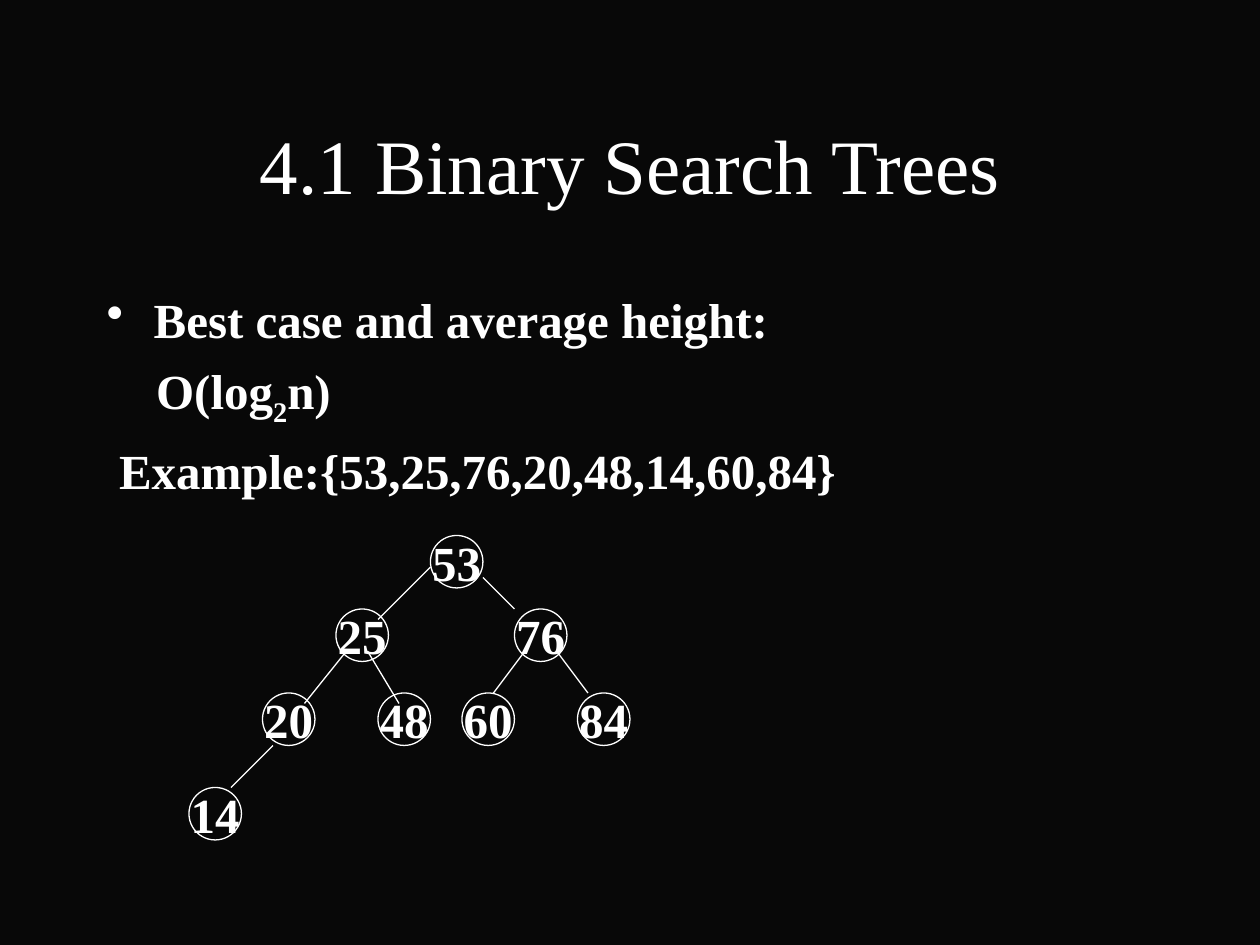
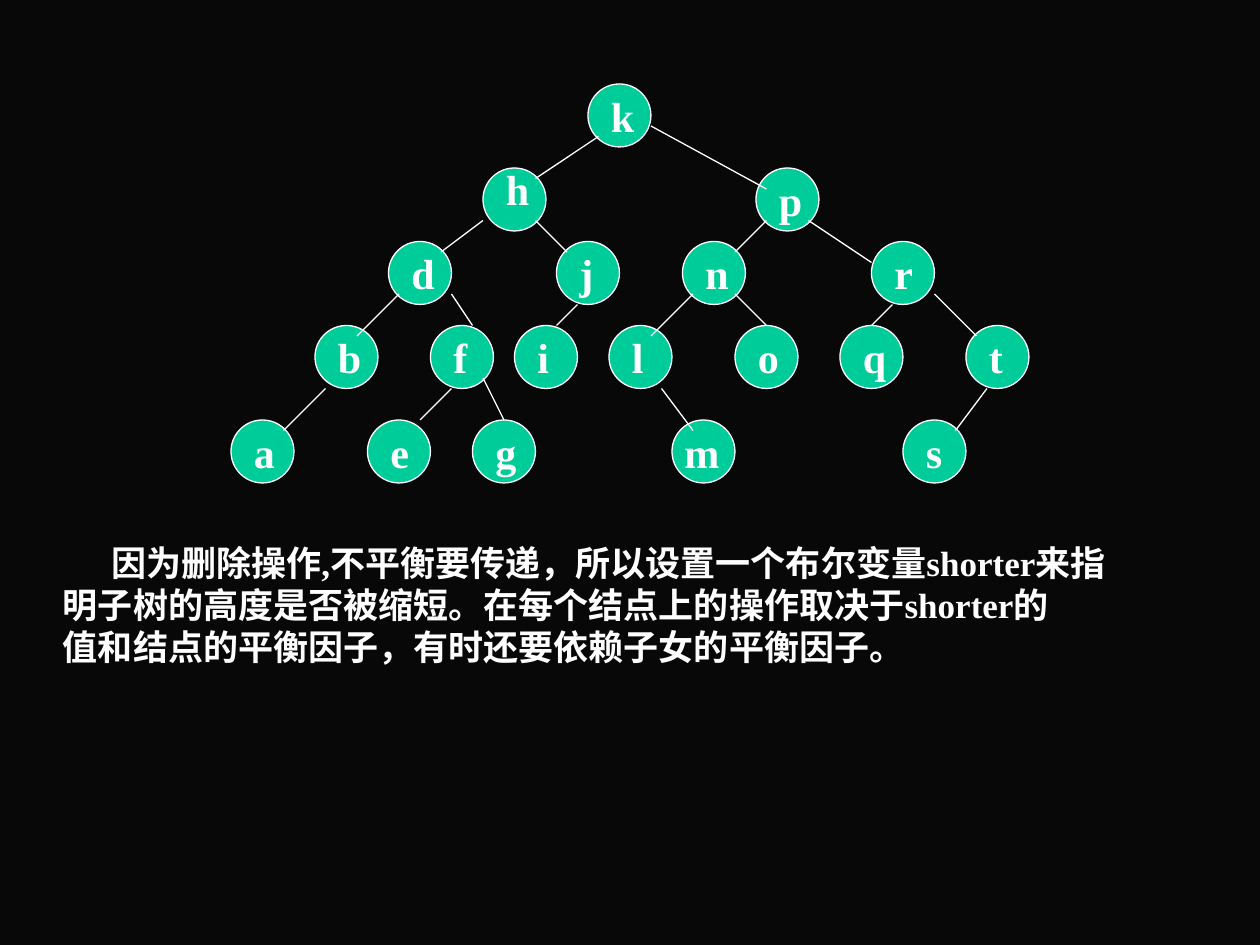
from pptx import Presentation
from pptx.dml.color import RGBColor
from pptx.enum.shapes import MSO_CONNECTOR, MSO_SHAPE
from pptx.enum.text import MSO_ANCHOR, PP_ALIGN
from pptx.oxml.ns import qn
from pptx.util import Cm, Pt
from lxml import etree

BLACK = RGBColor(0x08, 0x08, 0x08)
WHITE = RGBColor(0xFF, 0xFF, 0xFF)
GREEN = RGBColor(0x00, 0xCC, 0x99)
MIDDLE = MSO_ANCHOR.MIDDLE
CENTER = PP_ALIGN.CENTER
ELLIPSE = MSO_SHAPE.OVAL
NODE = MSO_SHAPE.FLOWCHART_CONNECTOR
STRAIGHT = MSO_CONNECTOR.STRAIGHT
GRID = Cm(2.54) / 12
LINE_WIDTH = Pt(0.75)
TITLE_ONLY, BLANK = 5, 6


def add_run(p, text, size, bold=True):
    r = p.add_run()
    r.text = text
    r.font.color.rgb = WHITE
    for name, value in {"name": "Times New Roman", "size": Pt(size), "bold": bold}.items():
        setattr(r.font, name, value)
    return r


def draw_tree(s, kind, size, nodes, edges, fill=None):
    shapes = []
    for x, y in nodes:
        sp = s.shapes.add_shape(kind, *[round(v * GRID) for v in (x, y, size, size)])
        sp.shadow.inherit = False
        if fill is None:
            sp.fill.background()
        else:
            sp.fill.solid()
            sp.fill.fore_color.rgb = fill
        sp.line.color.rgb = WHITE
        sp.line.width = LINE_WIDTH
        shapes.append(sp)
    for edge in edges:
        line = s.shapes.add_connector(STRAIGHT, *[round(v * GRID) for v in edge])
        line.line.color.rgb = WHITE
        line.line.width = LINE_WIDTH
        etree.SubElement(line._element.spPr, qn("a:effectLst"))
    return shapes


prs = Presentation()
prs.slide_width, prs.slide_height = Cm(25.4), Cm(19.05)
background = prs.slide_master.background.fill
background.solid()
background.fore_color.rgb = BLACK

s = prs.slides.add_slide(prs.slide_layouts[TITLE_ONLY])
title = s.shapes.title
for name, value in {"left": 1.9, "top": 1.7, "width": 21.6, "height": 3.18}.items():
    setattr(title, name, Cm(value))
title.text_frame.vertical_anchor = MIDDLE
p = title.text_frame.paragraphs[0]
p.alignment = CENTER
add_run(p, "4.1 Binary Search Trees", 44, False)

tf = s.shapes.add_textbox(Cm(1.9), Cm(5.72), Cm(21.6), Cm(12.7)).text_frame
tf.word_wrap = True
body = [
    (0.95, -0.95, ["Best case and average height:"]),
    (1, 0, ["O(log", "2", "n)"]),
    (0.25, 0, ["Example:{53,25,76,20,48,14,60,84}"]),
]
for i, (margin, indent, parts) in enumerate(body):
    p = tf.paragraphs[0] if i == 0 else tf.add_paragraph()
    p.space_before = Pt(7)
    pPr = p._p.get_or_add_pPr()
    pPr.set("marL", str(Cm(margin)))
    pPr.set("indent", str(Cm(indent)))
    if indent:
        etree.SubElement(pPr, qn("a:buChar"), char="•")
    for part in parts:
        r = add_run(p, part, 28)
        if part == "2":
            r.font._element.set("baseline", "-25000")

keys = {
    "53": (41, 51), "25": (32, 58), "20": (25, 66), "76": (49, 58),
    "60": (44, 66), "48": (36, 66), "84": (55, 66), "14": (18, 75),
}
edges = [
    (41, 54, 36, 59), (33, 62, 29, 67), (26, 71, 22, 75), (46, 55, 49, 58),
    (53, 62, 56, 66), (50, 62, 47, 66), (35, 62, 38, 67),
]
for key, sp in zip(keys, draw_tree(s, ELLIPSE, 5, keys.values(), edges)):
    tf = sp.text_frame
    tf.word_wrap = False
    tf.vertical_anchor = MIDDLE
    p = tf.paragraphs[0]
    p.alignment = CENTER
    p.space_before = Pt(7)
    add_run(p, key, 28)

s = prs.slides.add_slide(prs.slide_layouts[BLANK])
levels = {
    8: {"k": 56},
    16: {"h": 46, "p": 72},
    23: {"d": 37, "j": 53, "n": 65, "r": 83},
    31: {"b": 30, "f": 41, "i": 49, "l": 58, "o": 70, "q": 80, "t": 92},
    40: {"a": 22, "e": 35, "g": 45, "m": 64, "s": 86},
}
nodes = {key: (x, y) for y, row in levels.items() for key, x in row.items()}
edges = [
    (57, 13, 51, 17), (46, 21, 42, 24), (38, 28, 34, 32), (31, 37, 27, 41),
    (51, 21, 54, 24), (55, 29, 53, 31), (43, 28, 45, 31), (43, 37, 40, 40),
    (46, 36, 48, 40), (62, 12, 73, 18), (77, 21, 83, 25), (89, 28, 93, 32),
    (94, 37, 91, 41), (73, 21, 70, 24), (66, 28, 62, 32), (70, 28, 73, 31),
    (63, 37, 66, 41), (85, 29, 83, 31),
]
draw_tree(s, NODE, 6, nodes.values(), edges, GREEN)

label_widths = {"il": 0.74, "fj": 0.79, "rst": 0.84, "e": 0.89, "ago": 0.91, "bdhknpq": 0.97, "m": 1.22}
for letters, width in label_widths.items():
    for key in letters:
        x, y = nodes[key]
        left = x if key == "m" else x + 1
        top = y - 1 if key == "h" else y
        tf = s.shapes.add_textbox(round(left * GRID), round(top * GRID), Cm(width), Cm(1.27)).text_frame
        tf.word_wrap = False
        add_run(tf.paragraphs[0], key, 24)

tf = s.shapes.add_textbox(Cm(1.02), Cm(10.8), Cm(22.91), Cm(3.81)).text_frame
tf.word_wrap = True
lines = [
    "因为删除操作,不平衡要传递，所以设置一个布尔变量shorter来指",
    "明子树的高度是否被缩短。在每个结点上的操作取决于shorter的",
    "值和结点的平衡因子，有时还要依赖子女的平衡因子。",
]
for i, text in enumerate(lines):
    p = tf.paragraphs[0] if i == 0 else tf.add_paragraph()
    if i == 0:
        p._p.get_or_add_pPr().set("indent", str(Cm(0.97)))
    add_run(p, text, 20)

prs.save("out.pptx")
